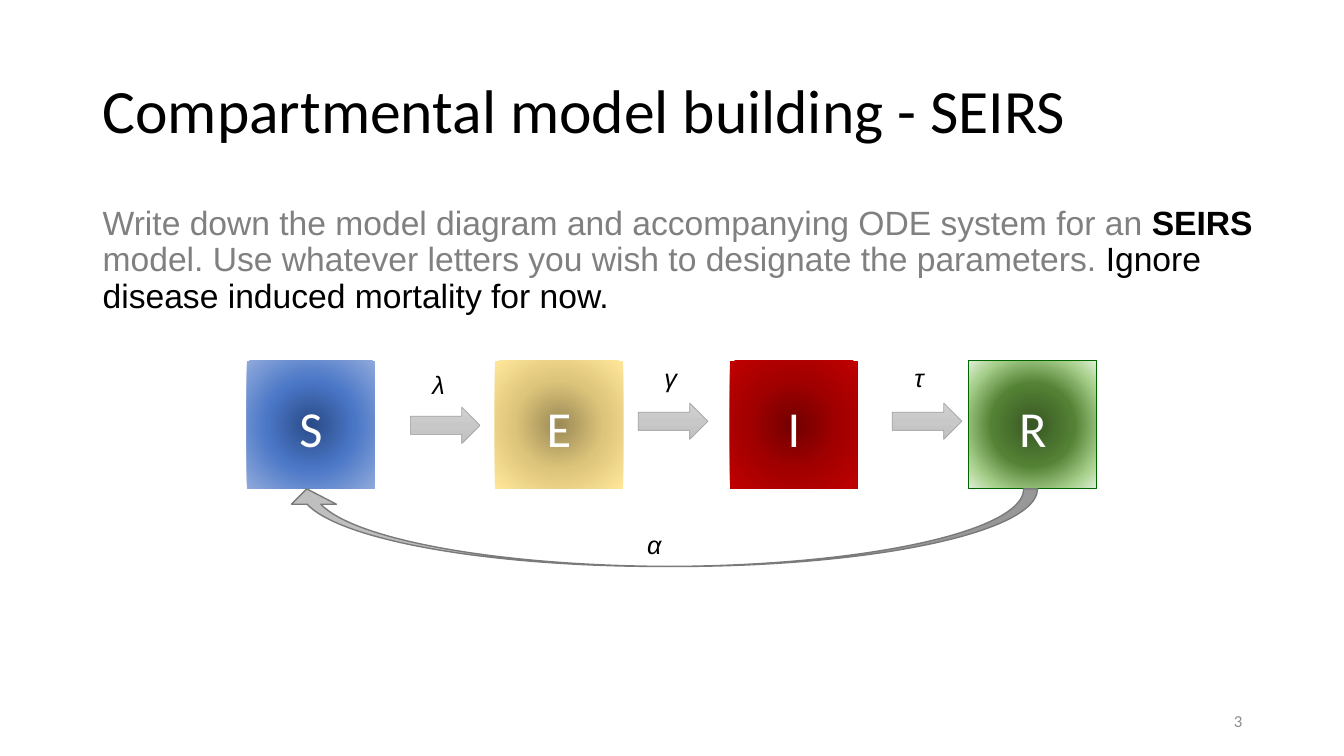
from pptx import Presentation
from pptx import util as u
from pptx.dml.color import RGBColor
from pptx.enum import shapes, text
from pptx.oxml import parse_xml
from pptx.oxml.ns import nsdecls

PX = 9144  # EMU per px, 100 px to the inch
COLORS = {
    "black": "000000", "white": "FFFFFF", "grey": "808080", "number": "8C8C8C",
    "arrow line": "A5A5A5", "return fill": "BFBFBF", "return line": "7A7A7A",
    "R line": "006600",
}
GRADIENTS = {
    "S": [(0, "2A4B86"), (48, "4A76C6"), (100, "8FAADC")],
    "E": [(0, "9C8A56"), (50, "DDC57B"), (100, "FFE699")],
    "I": [(0, "720000"), (50, "A20000"), (100, "C00000")],
    "R": [(0, "385723"), (46, "548235"), (79, "A9D18E"), (100, "E2F0D9")],
    "arrow": [(0, "D2D2D2"), (50, "C8C8C8"), (100, "C0C0C0")],
}
RADIAL = '<a:path path="circle"><a:fillToRect l="50000" t="50000" r="50000" b="50000"/></a:path>'
DOWNWARD = '<a:lin ang="5400000" scaled="0"/>'

presentation = Presentation()
presentation.slide_width, presentation.slide_height = 1333 * PX, 750 * PX
slide = presentation.slides.add_slide(presentation.slide_layouts[6])


def add_text(box, runs, size, font, anchor=text.MSO_ANCHOR.TOP, align=text.PP_ALIGN.LEFT):
    """Add a text box at box; runs holds (wording, colour name, bold, italic)."""
    frame = slide.shapes.add_textbox(*(n * PX for n in box)).text_frame
    frame.word_wrap = True
    frame.vertical_anchor = anchor
    paragraph = frame.paragraphs[0]
    paragraph.alignment = align
    for wording, color, bold, italic in runs:
        run = paragraph.add_run()
        run.text = wording
        run.font.size, run.font.name = u.Pt(size), font
        run.font.bold, run.font.italic = bold, italic
        run.font.color.rgb = RGBColor.from_string(COLORS[color])
    return paragraph


def add_gradient_shape(kind, box, stops, direction, line=None, width=0):
    shape = slide.shapes.add_shape(kind, *(n * PX for n in box))
    shape.shadow.inherit = False
    stop_xml = "".join(
        f'<a:gs pos="{position * 1000}"><a:srgbClr val="{color}"/></a:gs>'
        for position, color in stops)
    shape.element.spPr.prstGeom.addnext(parse_xml(
        f'<a:gradFill {nsdecls("a")} rotWithShape="1"><a:gsLst>{stop_xml}</a:gsLst>'
        f'{direction}</a:gradFill>'))
    if line:
        shape.line.color.rgb = RGBColor.from_string(COLORS[line])
        shape.line.width = u.Pt(width)
    else:
        shape.line.fill.background()
    return shape


# Title, task and slide number
title = add_text((92, 40, 1150, 145),
                 [("Compartmental model building - SEIRS", "black", False, False)],
                 44, "Calibri", text.MSO_ANCHOR.MIDDLE)
task = add_text((92, 200, 1190, 476), [
    ("Write down the model diagram and accompanying ODE system for an ", "grey", False, False),
    ("SEIRS", "black", True, False),
    (" model. Use whatever letters you wish to designate the parameters. ", "grey", False, False),
    ("Ignore disease induced mortality for now.", "black", False, False),
], 24, "Arial")
title.line_spacing = task.line_spacing = 0.9
add_text((942, 695, 300, 40), [("3", "number", False, False)], 12, "Calibri",
         text.MSO_ANCHOR.MIDDLE, text.PP_ALIGN.RIGHT)

# Compartments
for letter, left in (("S", 245), ("E", 491), ("I", 724), ("R", 961)):
    compartment = add_gradient_shape(
        shapes.MSO_SHAPE.RECTANGLE, (left, 358, 127, 127), GRADIENTS[letter], RADIAL,
        "R line" if letter == "R" else None, 0.75)
    frame = compartment.text_frame
    frame.vertical_anchor = text.MSO_ANCHOR.TOP
    frame.margin_top = 36 * PX
    frame.text = letter
    paragraph = frame.paragraphs[0]
    paragraph.alignment = text.PP_ALIGN.CENTER
    font = paragraph.runs[0].font
    font.size, font.name = u.Pt(36), "Calibri"
    font.color.rgb = RGBColor.from_string(COLORS["white"])

# Forward transitions
for left, top in ((407, 404), (633, 400), (885, 400)):
    add_gradient_shape(shapes.MSO_SHAPE.RIGHT_ARROW, (left, top, 69, 36),
                       GRADIENTS["arrow"], DOWNWARD, "arrow line", 0.5)

# Return from R to S
return_arrow = slide.shapes.add_shape(shapes.MSO_SHAPE.CURVED_LEFT_ARROW,
                                      617 * PX, 150 * PX, 77 * PX, 747 * PX)
return_arrow.rotation = 90
return_arrow.shadow.inherit = False
for index, value in enumerate((0.178, 0.577, 0.198)):
    return_arrow.adjustments[index] = value
return_arrow.fill.solid()
return_arrow.fill.fore_color.rgb = RGBColor.from_string(COLORS["return fill"])
return_arrow.line.color.rgb = RGBColor.from_string(COLORS["return line"])
return_arrow.line.width = u.Pt(1)

# Rates
for rate, left, top in (("λ", 419, 361), ("γ", 649, 354), ("τ", 897, 354), ("α", 632, 520)):
    add_text((left, top, 44, 39), [(rate, "black", False, True)], 18, "Arial")

presentation.save("out.pptx")
